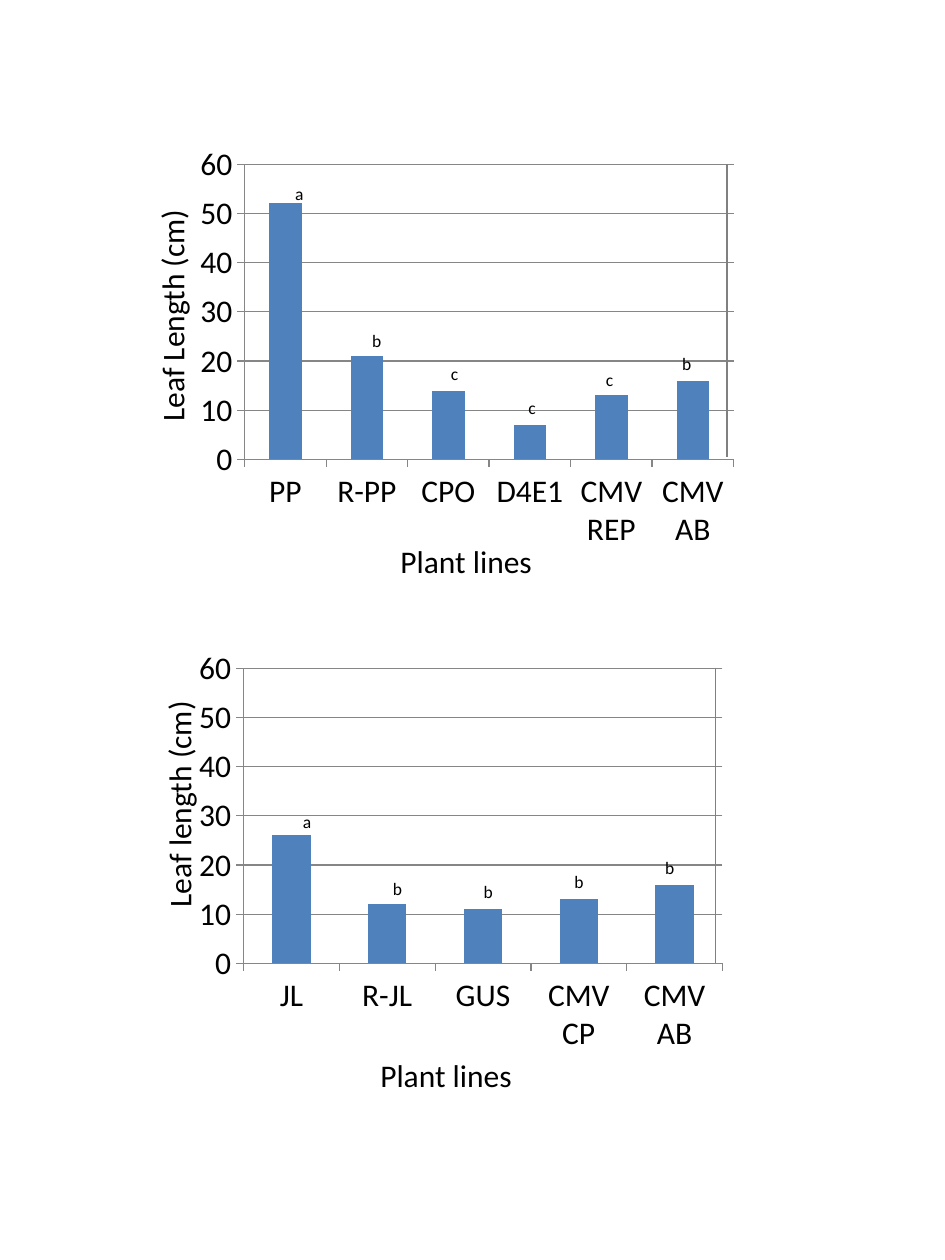
import lxml.etree
import pptx
import pptx.chart.data
import pptx.dml.color
import pptx.enum.chart
import pptx.enum.shapes
import pptx.enum.text
import pptx.oxml
import pptx.oxml.ns
import pptx.util
from pptx.util import Inches


def rgb(value):
    return pptx.dml.color.RGBColor.from_string(value)


class Figure:
    FONT, INK, BAR, RULE = "Calibri", "000000", "4F81BD", "868686"
    # Plot area as fractions of the chart frame
    PLOT = {"x": 0.1, "y": 0.067, "w": 0.878, "h": 0.704}

    def __init__(self, slide):
        self.slide = slide

    def style(self, font, size):
        font.name, font.size = self.FONT, pptx.util.Pt(size)
        font.bold = False
        font.color.rgb = rgb(self.INK)

    def rule(self, line, color=RULE):
        line.color.rgb = rgb(color)
        line.width = pptx.util.Pt(0.75)

    def label(self, text, left, top, width, height, size=18, rotation=0):
        box = self.slide.shapes.add_textbox(
            Inches(left), Inches(top), Inches(width), Inches(height))
        box.rotation = rotation
        frame = box.text_frame
        frame.word_wrap = False
        frame.auto_size = pptx.enum.text.MSO_AUTO_SIZE.SHAPE_TO_FIT_TEXT
        frame.text = text
        self.style(frame.paragraphs[0].font, size)

    def vertical_line(self, x, top, bottom):
        edge = self.slide.shapes.add_connector(
            pptx.enum.shapes.MSO_CONNECTOR.STRAIGHT,
            Inches(x), Inches(top), Inches(x), Inches(bottom))
        self.rule(edge.line, "808080")
        lxml.etree.SubElement(edge._element.spPr, pptx.oxml.ns.qn("a:effectLst"))

    def columns(self, lengths, left, top, width, height):
        data = pptx.chart.data.CategoryChartData()
        data.categories = list(lengths)
        data.add_series("Series 1", list(lengths.values()))
        chart = self.slide.shapes.add_chart(
            pptx.enum.chart.XL_CHART_TYPE.COLUMN_CLUSTERED,
            Inches(left), Inches(top), Inches(width), Inches(height), data).chart
        chart.has_legend = chart.has_title = False
        self.style(chart.font, 18)

        plot = chart.plots[0]
        plot.vary_by_categories = False
        plot.gap_width = 150
        fill = plot.series[0].format.fill
        fill.solid()
        fill.fore_color.rgb = rgb(self.BAR)

        for axis in (chart.category_axis, chart.value_axis):
            axis.major_tick_mark = pptx.enum.chart.XL_TICK_MARK.OUTSIDE
            self.rule(axis.format.line)
        scale = chart.value_axis
        scale.minimum_scale, scale.maximum_scale, scale.major_unit = 0, 60, 10
        scale.has_major_gridlines = True
        self.rule(scale.major_gridlines.format.line)
        self.fix_plot_area(chart)

    def fix_plot_area(self, chart):
        area = chart._chartSpace.chart.plotArea
        for old in area.findall(pptx.oxml.ns.qn("c:layout")):
            area.remove(old)
        places = "".join(f'<c:{k} val="{v}"/>' for k, v in self.PLOT.items())
        area.insert(0, pptx.oxml.parse_xml(
            f'<c:layout {pptx.oxml.ns.nsdecls("c")}><c:manualLayout>'
            '<c:layoutTarget val="inner"/><c:xMode val="edge"/><c:yMode val="edge"/>'
            f'{places}</c:manualLayout></c:layout>'))


deck = pptx.Presentation()
deck.slide_width, deck.slide_height = Inches(7.5), Inches(10)
figure = Figure(deck.slides.add_slide(deck.slide_layouts[6]))

# Each panel: leaf lengths, frame, axis titles, right edge, significance letters
panels = [
    dict(lengths={"PP": 52, "R-PP": 21, "CPO": 14, "D4E1": 7,
                  "CMV REP": 13, "CMV AB": 16},
         top=1.08, width=4.42, lines_at=(3.08, 4.25),
         length_title=("Leaf Length (cm)", 0.41, 2.29, 1.91),
         edge=(5.77, 1.3, 3.63), first=2.38, step=0.615,
         letters="abcccb", letter_tops=(1.4, 2.57, 2.83, 3.1, 2.88, 2.75)),
    dict(lengths={"JL": 26, "R-JL": 12, "GUS": 11, "CMV CP": 13, "CMV AB": 16},
         top=5.08, width=4.33, lines_at=(2.92, 8.33),
         length_title=("Leaf length (cm)", 0.49, 6.17, 1.86),
         edge=(5.68, 5.3, 7.64), first=2.44, step=0.72,
         letters="abbbb", letter_tops=(6.39, 6.92, 6.94, 6.86, 6.75)),
]
letter_widths = {"a": 0.27, "b": 0.28, "c": 0.26}

for panel in panels:
    figure.columns(panel["lengths"], 1.5, panel["top"], panel["width"], 3.33)
    figure.label("Plant lines", *panel["lines_at"], 1.26, 0.4)
    figure.label(*panel["length_title"], 0.4, rotation=270)
    figure.vertical_line(*panel["edge"])
    # Letters stand at equal steps, centred above their columns
    for i, (letter, top) in enumerate(zip(panel["letters"], panel["letter_tops"])):
        width = letter_widths[letter]
        center = panel["first"] + i * panel["step"]
        figure.label(letter, center - width / 2, top, width, 0.27, size=10)

deck.save("out.pptx")
